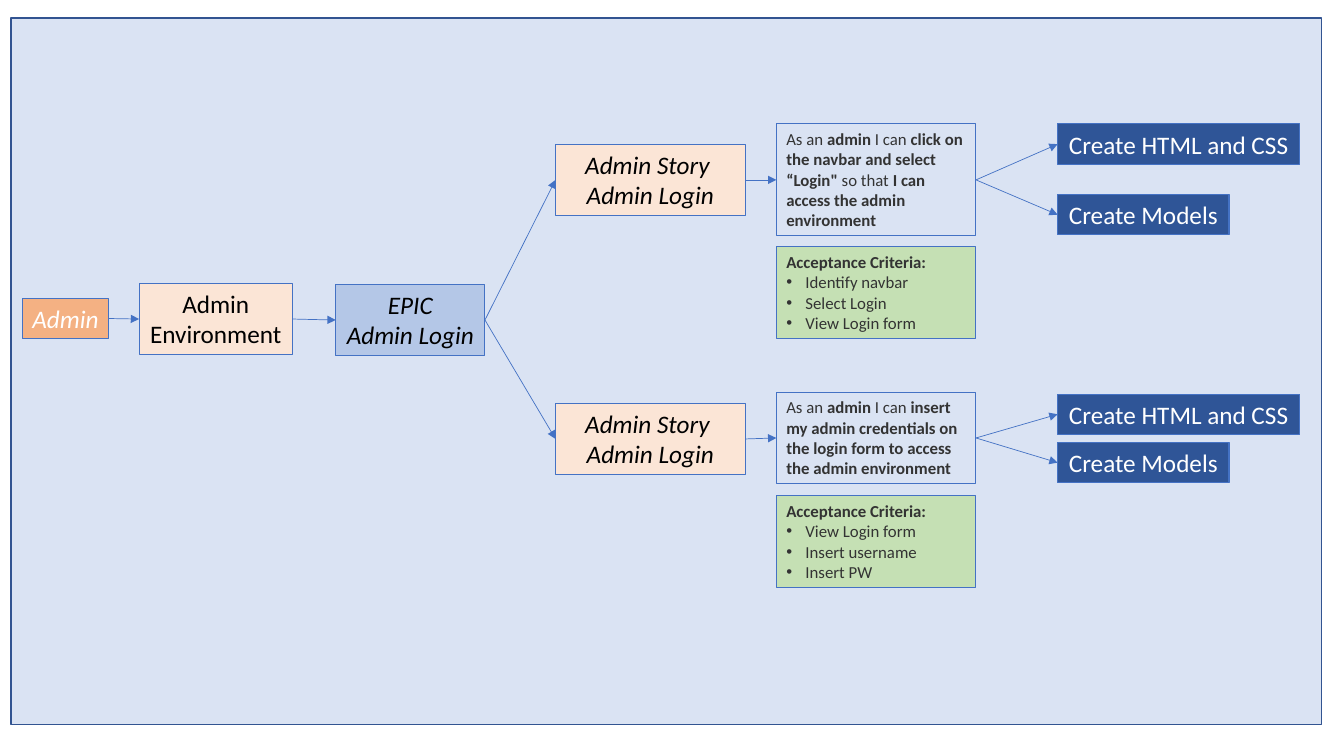
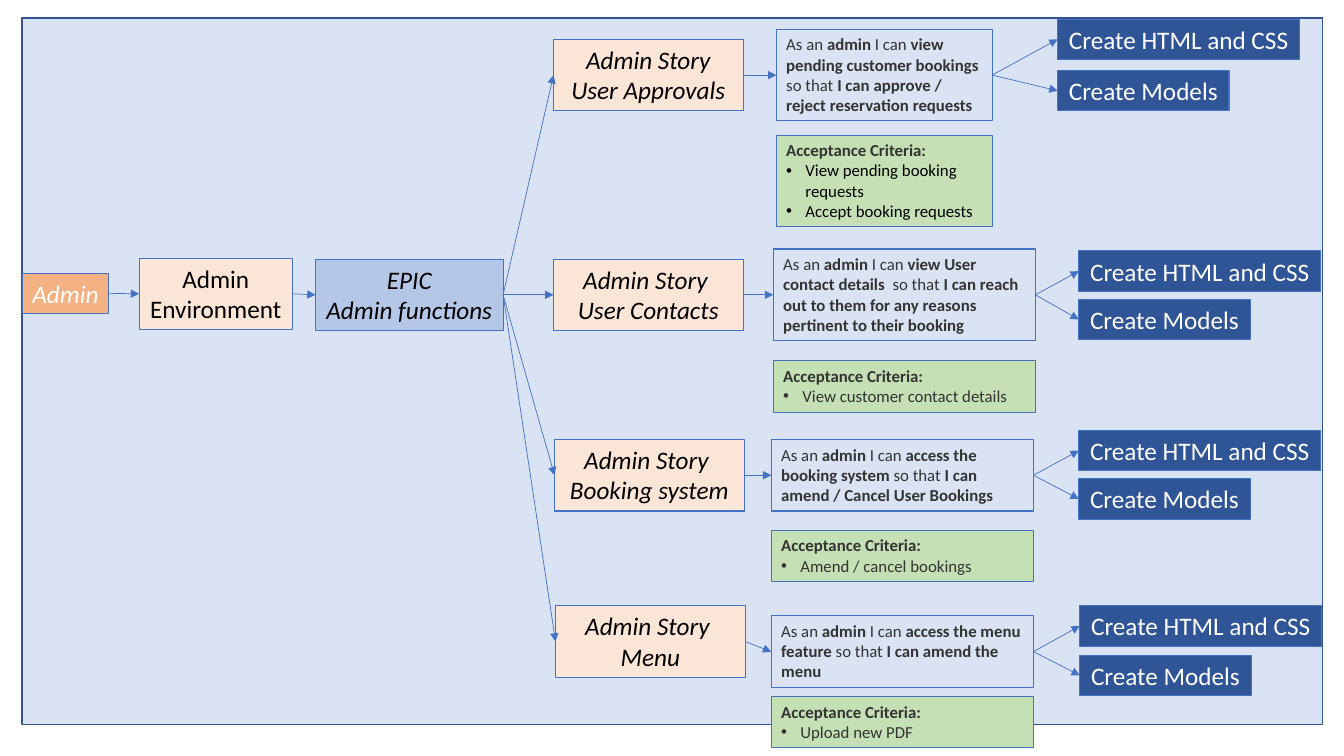
from dataclasses import dataclass

from lxml import etree
from pptx import Presentation
from pptx.dml.color import RGBColor
from pptx.enum.shapes import MSO_CONNECTOR, MSO_SHAPE
from pptx.enum.text import MSO_ANCHOR, MSO_AUTO_SIZE, PP_ALIGN
from pptx.oxml.ns import qn
from pptx.util import Inches, Pt

RECTANGLE = MSO_SHAPE.RECTANGLE
STRAIGHT = MSO_CONNECTOR.STRAIGHT
LEFT, CENTER = PP_ALIGN.LEFT, PP_ALIGN.CENTER
TOP = MSO_ANCHOR.TOP
FIT_SHAPE, NO_FIT = MSO_AUTO_SIZE.SHAPE_TO_FIT_TEXT, MSO_AUTO_SIZE.NONE
LEFT_SITE, RIGHT_SITE = 1, 3  # connection sites of a rectangle

# Shared style
FONT = "Calibri"
WHITE = RGBColor(0xFF, 0xFF, 0xFF)
BLACK = RGBColor(0, 0, 0)
DARK_GREY = RGBColor(0x33, 0x33, 0x33)
PANEL = RGBColor(0xDA, 0xE3, 0xF3)
PANEL_EDGE = RGBColor(0x32, 0x54, 0x91)
BLUE = RGBColor(0x44, 0x72, 0xC4)
NAVY = RGBColor(0x2F, 0x55, 0x97)
PALE_BLUE = RGBColor(0xB4, 0xC7, 0xE7)
ORANGE = RGBColor(0xF4, 0xB1, 0x83)
PEACH = RGBColor(0xFB, 0xE5, 0xD6)
GREEN = RGBColor(0xC5, 0xE0, 0xB4)

LABEL_HEIGHT, TWO_LINE_HEIGHT = 0.4, 0.71
STORY_WIDTH = 1.88
TASKS = (("Create HTML and CSS", 2.4), ("Create Models", 1.7))


@dataclass
class Story:
    """One row of the map; asterisks in the wish switch bold on and off."""
    lines: tuple
    position: tuple
    wish: str
    wish_position: tuple
    wish_lines: int
    width: float
    criteria: tuple
    criteria_top: float
    criteria_lines: int
    task_left: float
    task_tops: tuple
    criteria_color: RGBColor = DARK_GREY


def write(paragraph, text, *, size, color, bold=False, italic=False, align=LEFT):
    paragraph.alignment = align
    run = paragraph.add_run()
    run.text = text
    font = run.font
    font.name, font.size, font.color.rgb = FONT, Pt(size), color
    font.bold, font.italic = bold, italic


def note_height(line_count):
    return 0.11 + 0.2 * line_count


class StoryMap:
    def __init__(self, presentation):
        self.presentation = presentation
        self.slide = None

    def start_slide(self, panel_left, panel_width):
        layout = self.presentation.slide_layouts[6]
        self.slide = self.presentation.slides.add_slide(layout)
        self.box((panel_left, 0.18, panel_width, 7.01), PANEL, PANEL_EDGE, 1)

    def box(self, place, fill=None, edge=BLUE, edge_width=0.75):
        shape = self.slide.shapes.add_shape(RECTANGLE, *map(Inches, place))
        shape.shadow.inherit = False
        if fill is None:
            shape.fill.background()
        else:
            shape.fill.solid()
            shape.fill.fore_color.rgb = fill
        shape.line.color.rgb = edge
        shape.line.width = Pt(edge_width)
        return shape

    def paragraphs(self, shape, count, wrap):
        frame = shape.text_frame
        frame.word_wrap = wrap
        frame.auto_size = FIT_SHAPE if wrap else NO_FIT
        frame.vertical_anchor = TOP
        for _ in range(count - 1):
            frame.add_paragraph()
        return frame.paragraphs

    def label(self, lines, left, top, width, fill, color=BLACK, italic=False):
        height = LABEL_HEIGHT if len(lines) == 1 else TWO_LINE_HEIGHT
        shape = self.box((left, top, width, height), fill)
        for paragraph, line in zip(self.paragraphs(shape, len(lines), False), lines):
            write(paragraph, line, size=18, color=color, italic=italic, align=CENTER)
        return shape

    def wish(self, text, left, top, width, line_count):
        shape = self.box((left, top, width, note_height(line_count)))
        paragraph = self.paragraphs(shape, 1, True)[0]
        for index, part in enumerate(text.split("*")):
            if part:
                write(paragraph, part, size=12, color=DARK_GREY, bold=index % 2 == 1)
        return shape

    def criteria(self, items, left, top, width, line_count, color):
        shape = self.box((left, top, width, note_height(line_count)), GREEN)
        heading, *bullets = self.paragraphs(shape, len(items) + 1, True)
        write(heading, "Acceptance Criteria:", size=12, color=DARK_GREY, bold=True)
        for paragraph, item in zip(bullets, items):
            write(paragraph, item, size=12, color=color)
            properties = paragraph._p.get_or_add_pPr()
            properties.set("marL", str(Inches(0.19)))
            properties.set("indent", str(-Inches(0.19)))
            etree.SubElement(properties, qn("a:buFont")).set("typeface", "Arial")
            etree.SubElement(properties, qn("a:buChar")).set("char", "•")

    def arrow(self, source, target):
        connector = self.slide.shapes.add_connector(STRAIGHT, 0, 0, 0, 0)
        connector.begin_connect(source, RIGHT_SITE)
        connector.end_connect(target, LEFT_SITE)
        connector.line.color.rgb = BLUE
        connector.line.width = Pt(0.5)
        line = connector.line._get_or_add_ln()
        etree.SubElement(line, qn("a:tailEnd")).set("type", "triangle")
        etree.SubElement(connector._element.spPr, qn("a:effectLst"))

    def root(self, top, epic_name, epic_left, epic_width):
        admin = self.label(("Admin",), 0.22, top + 0.15, 0.86, ORANGE, WHITE, True)
        environment = self.label(("Admin", "Environment"), 1.38, top, 1.52, PEACH)
        epic = self.label(("EPIC", epic_name), epic_left, top + 0.01, epic_width,
                          PALE_BLUE, italic=True)
        self.arrow(admin, environment)
        self.arrow(environment, epic)
        return epic

    def story(self, epic, row):
        story = self.label(row.lines, *row.position, STORY_WIDTH, PEACH, italic=True)
        wish = self.wish(row.wish, *row.wish_position, row.width, row.wish_lines)
        self.criteria(row.criteria, row.wish_position[0], row.criteria_top, row.width,
                      row.criteria_lines, row.criteria_color)
        self.arrow(epic, story)
        self.arrow(story, wish)
        for (name, width), top in zip(TASKS, row.task_tops):
            task = self.label((name,), row.task_left, top, width, NAVY, WHITE)
            self.arrow(wish, task)


# Content
LOGIN_STORIES = (
    Story(("Admin Story ", "Admin Login"), (5.51, 1.43),
          "As an *admin *I can *click on the navbar and select “Login\"* so that "
          "*I can access the admin environment*",
          (7.7, 1.23), 5, 1.98,
          ("Identify navbar", "Select Login", "View Login form"), 2.45, 4,
          10.49, (1.23, 1.93)),
    Story(("Admin Story ", "Admin Login"), (5.51, 4),
          "As an *admin *I can* insert my admin credentials on the login form "
          "to access the admin environment*",
          (7.7, 3.89), 4, 1.98,
          ("View Login form", "Insert username", "Insert PW"), 4.92, 4,
          10.49, (3.91, 4.39)),
)
FUNCTION_STORIES = (
    Story(("Admin Story", "User Approvals"), (5.49, 0.39),
          "As an *admin *I can *view pending customer bookings *so that "
          "*I can approve / reject reservation requests*",
          (7.7, 0.29), 4, 2.14,
          ("View pending booking requests", "Accept booking requests"), 1.34, 4,
          10.49, (0.19, 0.7), BLACK),
    Story(("Admin Story ", "User Contacts"), (5.49, 2.57),
          "As an *admin *I can *view User contact details  *so that "
          "*I can reach out to them for any reasons pertinent to their booking*",
          (7.67, 2.47), 4, 2.6,
          ("View customer contact details",), 3.58, 2,
          10.7, (2.49, 2.97)),
    Story(("Admin Story ", "Booking system"), (5.5, 4.36),
          "As an *admin *I can *access the booking system *so that "
          "*I can amend / Cancel User Bookings*",
          (7.65, 4.36), 3, 2.6,
          ("Amend / cancel bookings",), 5.26, 2,
          10.7, (4.27, 4.75)),
    Story(("Admin Story ", "Menu"), (5.51, 6.01),
          "As an *admin *I can *access the menu feature *so that "
          "*I can amend the menu*",
          (7.65, 6.11), 3, 2.6,
          ("Upload new PDF",), 6.91, 2,
          10.71, (6.01, 6.5)),
)

presentation = Presentation()
presentation.slide_width = Inches(13.33)
presentation.slide_height = Inches(7.5)
story_map = StoryMap(presentation)

# Slide 1: admin login
story_map.start_slide(0.11, 13)
login_epic = story_map.root(2.81, "Admin Login", 3.33, 1.48)
for login_story in LOGIN_STORIES:
    story_map.story(login_epic, login_story)

# Slide 2: admin functions
story_map.start_slide(0.22, 12.9)
functions_epic = story_map.root(2.56, "Admin functions", 3.13, 1.86)
for function_story in FUNCTION_STORIES:
    story_map.story(functions_epic, function_story)

presentation.save("out.pptx")
